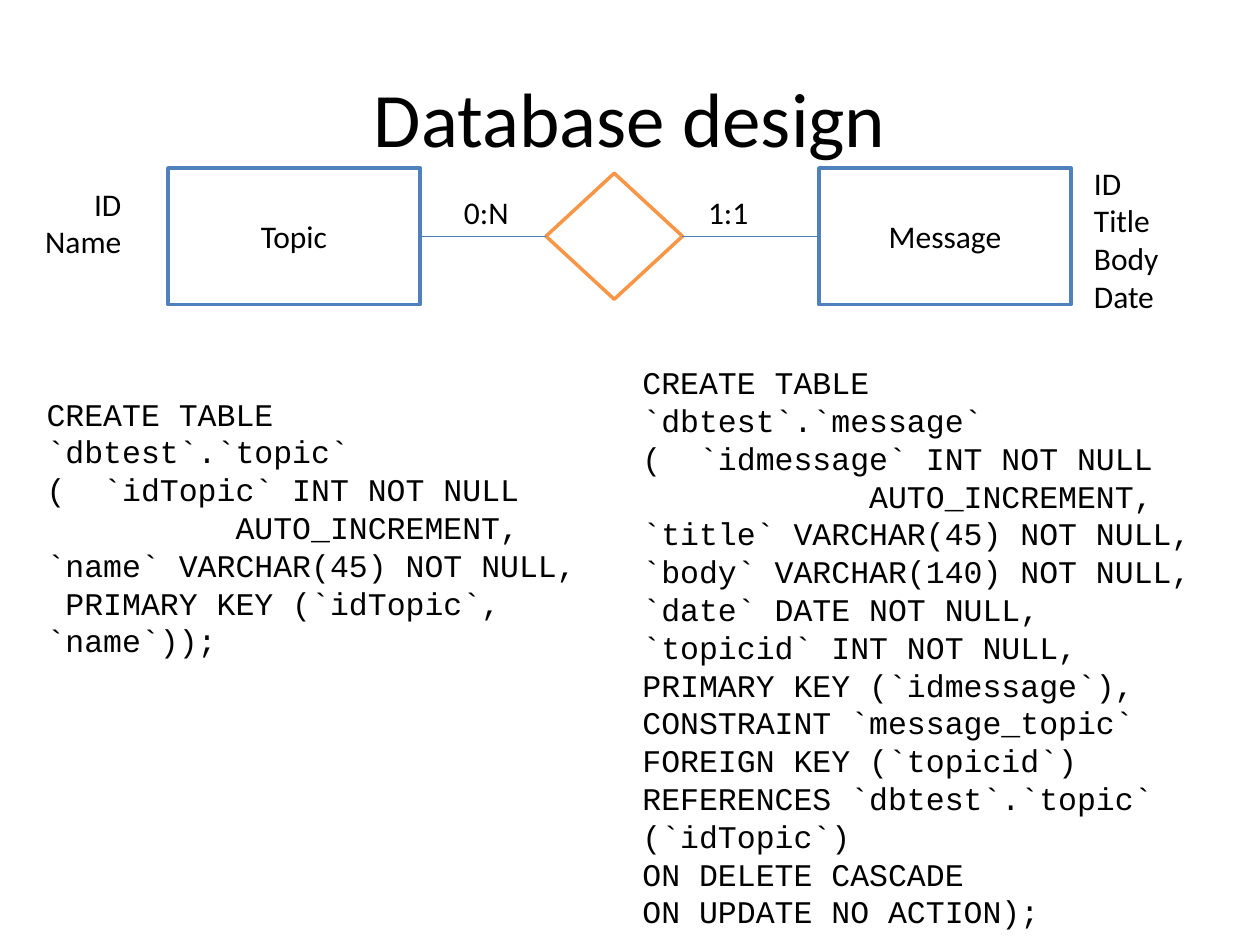
from dataclasses import dataclass

from lxml import etree
from pptx import Presentation
from pptx.dml.color import RGBColor
from pptx.enum.shapes import MSO_CONNECTOR, MSO_SHAPE
from pptx.enum.text import MSO_ANCHOR, MSO_AUTO_SIZE, PP_ALIGN
from pptx.oxml.ns import qn
from pptx.util import Pt

RECTANGLE, DIAMOND = MSO_SHAPE.RECTANGLE, MSO_SHAPE.DIAMOND
STRAIGHT = MSO_CONNECTOR.STRAIGHT
LEFT, CENTER, RIGHT = PP_ALIGN.LEFT, PP_ALIGN.CENTER, PP_ALIGN.RIGHT
MIDDLE = MSO_ANCHOR.MIDDLE
GROW = MSO_AUTO_SIZE.SHAPE_TO_FIT_TEXT
LEFT_SIDE, RIGHT_SIDE = 1, 3

BLACK, WHITE = "000000", "FFFFFF"
BLUE, ORANGE, LINK_BLUE = "4F81BD", "F79646", "4B7EBC"
BODY_FONT, CODE_FONT = "Calibri", "Courier New"
CHARACTER = 10.8  # width of one 18 pt code character


@dataclass
class Box:
    left: float
    top: float
    width: float
    height: float

    def lengths(self) -> tuple:
        return Pt(self.left), Pt(self.top), Pt(self.width), Pt(self.height)


@dataclass
class Node:
    kind: int
    box: Box
    outline: str
    text: str = ""


@dataclass
class Label:
    box: Box
    lines: list
    align: int = LEFT


@dataclass
class CodeLine:
    text: str
    margin: int = 0  # characters
    first: int = 0  # first-line offset, characters


def color(value: str) -> RGBColor:
    return RGBColor.from_string(value)


def style(paragraph, align: int, font: str = BODY_FONT, size: float = 18) -> None:
    paragraph.alignment = align
    paragraph.font.name = font
    paragraph.font.size = Pt(size)
    paragraph.font.color.rgb = color(BLACK)


def add_node(slide, node: Node):
    shape = slide.shapes.add_shape(node.kind, *node.box.lengths())
    shape.shadow.inherit = False
    shape.fill.solid()
    shape.fill.fore_color.rgb = color(WHITE)
    shape.line.color.rgb = color(node.outline)
    shape.line.width = Pt(2)
    if node.text:
        shape.text_frame.text = node.text
        shape.text_frame.vertical_anchor = MIDDLE
        style(shape.text_frame.paragraphs[0], CENTER)
    return shape


def add_link(slide, start, start_side: int, end, end_side: int) -> None:
    connector = slide.shapes.add_connector(STRAIGHT, 0, 0, 0, 0)
    connector.begin_connect(start, start_side)
    connector.end_connect(end, end_side)
    connector.line.color.rgb = color(LINK_BLUE)
    connector.line.width = Pt(0.75)
    etree.SubElement(connector._element.spPr, qn("a:effectLst"))


def add_text(slide, box: Box, lines: list, wrap: bool):
    frame = slide.shapes.add_textbox(*box.lengths()).text_frame
    frame.text = "\n".join(lines)
    frame.word_wrap = wrap
    frame.auto_size = GROW
    return frame


def add_label(slide, label: Label) -> None:
    frame = add_text(slide, label.box, label.lines, False)
    for paragraph in frame.paragraphs:
        style(paragraph, label.align)


def add_code(slide, box: Box, lines: list) -> None:
    frame = add_text(slide, box, [line.text for line in lines], True)
    for paragraph, line in zip(frame.paragraphs, lines):
        style(paragraph, LEFT, CODE_FONT)
        properties = paragraph._p.get_or_add_pPr()
        properties.set("marL", str(Pt(line.margin * CHARACTER)))
        properties.set("indent", str(Pt(line.first * CHARACTER)))


TOPIC = Node(RECTANGLE, Box(96, 96, 144, 78), BLUE, "Topic")
RELATION = Node(DIAMOND, Box(312, 99, 78, 72), ORANGE)
MESSAGE = Node(RECTANGLE, Box(468, 96, 144, 78), BLUE, "Message")

LABELS = [
    Label(Box(18, 102, 58.5, 51), ["ID", "Name"], RIGHT),
    Label(Box(618, 90, 51.5, 94.5), ["ID", "Title", "Body", "Date"]),
    Label(Box(258, 106.5, 40, 29), ["0:N"]),
    Label(Box(397.5, 106.5, 38, 29), ["1:1"]),
]

TOPIC_CODE = [
    CodeLine("CREATE TABLE"),
    CodeLine("`dbtest`.`topic`"),
    CodeLine("(\t`idTopic` INT NOT NULL", 3, -3),
    CodeLine("AUTO_INCREMENT,", 10),
    CodeLine("`name` VARCHAR(45) NOT NULL,"),
    CodeLine("PRIMARY KEY (`idTopic`, `name`));", 0, 1),
]

MESSAGE_CODE = [
    CodeLine("CREATE TABLE"),
    CodeLine("`dbtest`.`message`"),
    CodeLine("(\t`idmessage` INT NOT NULL", 3, -3),
    CodeLine("AUTO_INCREMENT,", 12),
    CodeLine("`title` VARCHAR(45) NOT NULL,"),
    CodeLine("`body` VARCHAR(140) NOT NULL,"),
    CodeLine("`date` DATE NOT NULL,"),
    CodeLine("`topicid` INT NOT NULL,"),
    CodeLine("PRIMARY KEY (`idmessage`),"),
    CodeLine("CONSTRAINT `message_topic`"),
    CodeLine("FOREIGN KEY (`topicid`)"),
    CodeLine("REFERENCES `dbtest`.`topic`"),
    CodeLine("(`idTopic`)"),
    CodeLine("ON DELETE CASCADE"),
    CodeLine("ON UPDATE NO ACTION);"),
]


def main() -> None:
    presentation = Presentation()
    presentation.slide_width, presentation.slide_height = Pt(720), Pt(540)
    slide = presentation.slides.add_slide(presentation.slide_layouts[5])

    # Title
    title = slide.shapes.title
    title.left, title.top, title.width, title.height = Box(36, 21.6, 648, 90).lengths()
    title.text_frame.text = "Database design"
    title.text_frame.vertical_anchor = MIDDLE
    style(title.text_frame.paragraphs[0], CENTER, size=44)

    # Entity-relationship diagram
    topic, relation, message = [
        add_node(slide, node) for node in (TOPIC, RELATION, MESSAGE)
    ]
    add_link(slide, relation, LEFT_SIDE, topic, RIGHT_SIDE)
    add_link(slide, relation, RIGHT_SIDE, message, LEFT_SIDE)

    # Attributes and cardinalities
    for label in LABELS:
        add_label(slide, label)

    # Table definitions
    add_code(slide, Box(19.5, 222, 322.5, 160), TOPIC_CODE)
    add_code(slide, Box(360, 204, 354, 334), MESSAGE_CODE)

    presentation.save("out.pptx")


if __name__ == "__main__":
    main()
